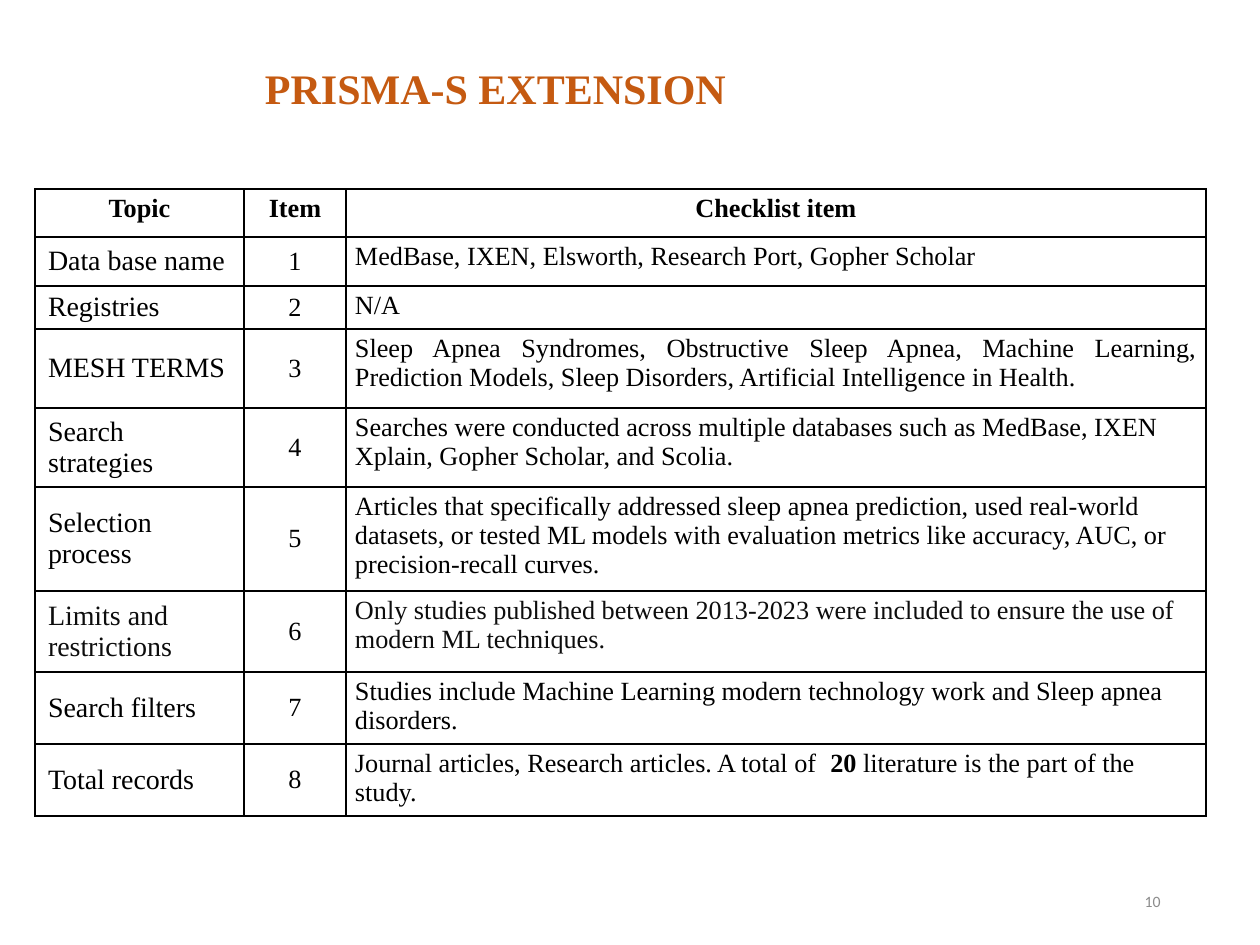
from lxml.etree import SubElement
from pptx import Presentation
from pptx.dml.color import RGBColor
from pptx.enum.text import MSO_ANCHOR, PP_ALIGN
from pptx.oxml.ns import qn
from pptx.util import Emu, Pt

PX = 914400 // 126
SERIF = "Times New Roman"
COLORS = {"title": "C55A11", "text": "000000", "soft": "0D0D0D",
          "number": "8C8C8C", "border": "000000", "cell": "FFFFFF"}
COL_WIDTHS = [209, 102, 860]
ROW_HEIGHTS = [48, 49, 42, 79, 79, 104, 81, 72, 72]
HEADERS = ["Topic", "Item", "Checklist item"]
# Text between ** marks is bold.
CHECKLIST = [
    ("Data base name", "MedBase, IXEN, Elsworth, Research Port, Gopher Scholar"),
    ("Registries", "N/A"),
    ("MESH TERMS", "Sleep Apnea Syndromes, Obstructive Sleep Apnea, Machine Learning, "
     "Prediction Models, Sleep Disorders, Artificial Intelligence in Health."),
    ("Search strategies", "Searches were conducted across multiple databases such as "
     "MedBase, IXEN Xplain, Gopher Scholar, and Scolia."),
    ("Selection process", "Articles that specifically addressed sleep apnea prediction, "
     "used real-world datasets, or tested ML models with evaluation metrics like "
     "accuracy, AUC, or precision-recall curves."),
    ("Limits and restrictions", "Only studies published between 2013-2023 were included "
     "to ensure the use of modern ML techniques."),
    ("Search filters", "Studies include Machine Learning modern technology work and "
     "Sleep apnea disorders."),
    ("Total records", "Journal articles, Research articles. A total of  **20** "
     "literature is the part of the study."),
]


def px(n):
    return Emu(n * PX)


def rgb(name):
    return RGBColor.from_string(COLORS[name])


def place(sp, left, top, width, height):
    sp.left, sp.top, sp.width, sp.height = map(px, (left, top, width, height))


def style_run(r, size, color, bold=False, font=SERIF):
    r.font.name, r.font.size, r.font.bold = font, Pt(size), bold
    r.font.color.rgb = rgb(color)


def add_title(slide):
    sp = slide.shapes.title
    place(sp, 242, 53, 850, 76)
    tf = sp.text_frame
    tf.text = "PRISMA-S EXTENSION"
    tf.vertical_anchor = MSO_ANCHOR.MIDDLE
    tf.margin_left = px(23)
    p = tf.paragraphs[0]
    p.alignment, p.line_spacing = PP_ALIGN.LEFT, 0.9
    style_run(p.runs[0], 24, "title", bold=True)


def set_borders(cell):
    tc_pr = cell._tc.get_or_add_tcPr()
    for side in ("a:lnL", "a:lnR", "a:lnT", "a:lnB"):
        ln = SubElement(tc_pr, qn(side), w=str(Pt(1)))
        fill = SubElement(ln, qn("a:solidFill"))
        SubElement(fill, qn("a:srgbClr"), val=COLORS["border"])


def fill_cell(cell, text, size=15, align=PP_ALIGN.LEFT, anchor=MSO_ANCHOR.TOP,
              color="text", bold=False, margins=(9, 5)):
    set_borders(cell)
    cell.fill.solid()
    cell.fill.fore_color.rgb = rgb("cell")
    cell.vertical_anchor = anchor
    cell.margin_left = cell.margin_right = px(margins[0])
    cell.margin_top = cell.margin_bottom = px(margins[1])
    p = cell.text_frame.paragraphs[0]
    p.alignment = align
    for i, part in enumerate(text.split("**")):
        r = p.add_run()
        r.text = part
        style_run(r, size, color, bold or i % 2 == 1)
    return p


def add_checklist(slide):
    frame = slide.shapes.add_table(len(ROW_HEIGHTS), len(COL_WIDTHS), px(35), px(189),
                                   px(sum(COL_WIDTHS)), px(sum(ROW_HEIGHTS)))
    table = frame.table
    table.first_row = table.horz_banding = False
    for col, width in zip(table.columns, COL_WIDTHS):
        col.width = px(width)
    for row, height in zip(table.rows, ROW_HEIGHTS):
        row.height = px(height)
    for c, header in enumerate(HEADERS):
        fill_cell(table.cell(0, c), header, align=PP_ALIGN.CENTER, bold=True)
    for n, (topic, item) in enumerate(CHECKLIST, start=1):
        color = "soft" if topic.startswith("Limits") else "text"
        align = PP_ALIGN.JUSTIFY if topic == "MESH TERMS" else PP_ALIGN.LEFT
        fill_cell(table.cell(n, 0), topic, 16, anchor=MSO_ANCHOR.MIDDLE,
                  color=color, margins=(13, 6))
        fill_cell(table.cell(n, 1), str(n), align=PP_ALIGN.CENTER,
                  anchor=MSO_ANCHOR.MIDDLE)
        p = fill_cell(table.cell(n, 2), item, align=align, color=color)
        if item == "N/A":
            p.space_before = p.space_after = Pt(6)


def add_page_number(slide):
    sp = slide.shapes.add_textbox(px(890), px(876), px(283), px(50))
    tf = sp.text_frame
    tf.text = "10"
    tf.word_wrap = True
    tf.vertical_anchor = MSO_ANCHOR.MIDDLE
    p = tf.paragraphs[0]
    p.alignment = PP_ALIGN.RIGHT
    style_run(p.runs[0], 9, "number", font="Calibri")


def main():
    prs = Presentation()
    prs.slide_width, prs.slide_height = px(1260), px(945)
    slide = prs.slides.add_slide(prs.slide_layouts[5])
    add_title(slide)
    add_checklist(slide)
    add_page_number(slide)
    prs.save("out.pptx")


if __name__ == "__main__":
    main()
